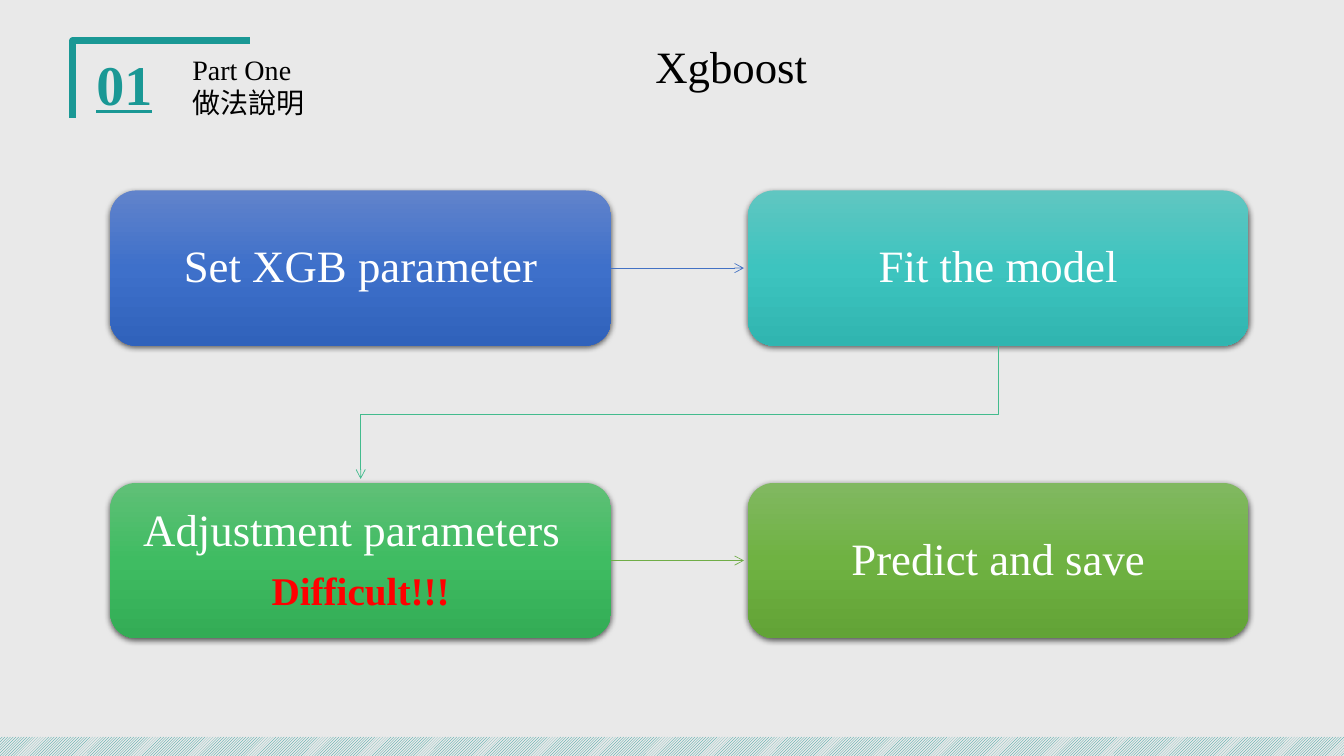
from copy import deepcopy
from lxml.etree import SubElement
from pptx import Presentation
from pptx.dml.color import RGBColor
from pptx.enum.dml import MSO_PATTERN
from pptx.enum.shapes import MSO_CONNECTOR, MSO_SHAPE
from pptx.enum.text import MSO_ANCHOR, MSO_AUTO_SIZE, PP_ALIGN
from pptx.oxml.ns import qn
from pptx.util import Cm, Pt

HEX = {
    "back": "E9E9E9", "teal": "1A9895", "black": "000000", "white": "FFFFFF",
    "red": "FF0000", "blue": "4472C4", "mint": "43BB8D", "green": "70AD47",
}
FONT = "Times New Roman"


def style(par, size, color, bold=False, under=False):
    """Format every run of a paragraph."""
    for run in par.runs:
        font = run.font
        font.name, font.size, font.bold = FONT, Pt(size), bold
        font.underline = under
        font.color.rgb = RGBColor.from_string(HEX[color])


def stroke(shape, color, width, arrow=False):
    """Colour a line, drop its shadow and add an arrowhead if asked."""
    shape.line.color.rgb = RGBColor.from_string(HEX[color])
    shape.line.width = Pt(width)
    props = shape._element.spPr
    if props.find(qn("a:effectLst")) is None:
        SubElement(props, qn("a:effectLst"))
    if arrow:
        SubElement(props.find(qn("a:ln")), qn("a:tailEnd"), type="arrow")


prs = Presentation()
prs.slide_width, prs.slide_height = Cm(33.87), Cm(19.05)
slide = prs.slides.add_slide(prs.slide_layouts[5])
slide.background.fill.solid()
slide.background.fill.fore_color.rgb = RGBColor.from_string(HEX["back"])
shapes = slide.shapes

# Corner frame and hatched footer
path = shapes.build_freeform(Cm(1.83), Cm(2.97))
path.add_line_segments([(Cm(1.83), Cm(1.02)), (Cm(6.3), Cm(1.02))], close=False)
frame = path.convert_to_shape()
frame.fill.background()
stroke(frame, "teal", 4.5)

band = shapes.add_shape(MSO_SHAPE.RECTANGLE, 0, Cm(18.57), Cm(33.87), Cm(0.48))
band.shadow.inherit = False
band.line.fill.background()
band.fill.patterned()
band.fill.pattern = MSO_PATTERN.LIGHT_UPWARD_DIAGONAL
band.fill.fore_color.rgb = RGBColor.from_string(HEX["teal"])
band.fill.back_color.rgb = RGBColor.from_string(HEX["back"])

# Heading
heads = [
    ("01", 2.18, 1.12, 2.41, 40, "teal", True),
    ("Part One\n做法說明", 4.6, 1.19, 6.3, 20, "black", False),
]
for text, left, top, width, size, color, strong in heads:
    box = shapes.add_textbox(Cm(left), Cm(top), Cm(width), Cm(1.96))
    box.text_frame.word_wrap = True
    box.text_frame.text = text
    for par in box.text_frame.paragraphs:
        style(par, size, color, strong, strong)

title = shapes.title
title.left, title.top, title.width, title.height = Cm(16.26), Cm(0.84), Cm(4.37), Cm(1.63)
frame = title.text_frame
frame.text = "Xgboost"
frame.word_wrap = False
frame.auto_size = MSO_AUTO_SIZE.NONE
frame.vertical_anchor = MSO_ANCHOR.TOP
frame.paragraphs[0].alignment = PP_ALIGN.LEFT
style(frame.paragraphs[0], 32, "black")

# Steps on a two by two grid
LEFT, TOP, WIDE, HIGH = 2.78, 4.8, 12.62, 3.91
STEP_X, STEP_Y, GAP = 16.07, 7.37, 0.1
steps = [
    ("Set XGB parameter", ["6183CB", "3E70CA", "3062BB"]),
    ("Fit the model", ["60C6C1", "3DC4BF", "30B5B0"]),
    ("Adjustment parameters\nDifficult!!!", ["60C077", "3FBC62", "33AC55"]),
    ("Predict and save", ["81B861", "6FB242", "62A336"]),
]
for num, (text, tones) in enumerate(steps):
    row, col = divmod(num, 2)
    card = shapes.add_shape(
        MSO_SHAPE.ROUNDED_RECTANGLE, Cm(LEFT + col * STEP_X),
        Cm(TOP + row * STEP_Y), Cm(WIDE), Cm(HIGH))
    card.line.fill.background()

    card.fill.gradient()
    card.fill.gradient_angle = 270
    stops = card._element.spPr.find(qn("a:gradFill")).find(qn("a:gsLst"))
    stops.insert(1, deepcopy(stops[0]))
    for stop, place, tone in zip(card.fill.gradient_stops, (0, 0.5, 1), tones):
        stop.position = place
        stop.color.rgb = RGBColor.from_string(tone)

    card.shadow.inherit = False
    glow = SubElement(
        card._element.spPr.find(qn("a:effectLst")), qn("a:outerShdw"),
        blurRad=str(Pt(4.5)), dist=str(Pt(1.5)), dir="5400000",
        algn="ctr", rotWithShape="0")
    shade = SubElement(glow, qn("a:srgbClr"), val=HEX["black"])
    SubElement(shade, qn("a:alpha"), val="63000")

    frame = card.text_frame
    frame.word_wrap = True
    frame.vertical_anchor = MSO_ANCHOR.MIDDLE
    frame.margin_left = frame.margin_right = Cm(0.64)
    frame.text = text
    for par in frame.paragraphs:
        par.alignment = PP_ALIGN.CENTER
        par.line_spacing = 0.9
        style(par, 32, "white")
    if len(frame.paragraphs) > 1:
        first, note = frame.paragraphs
        first.alignment = PP_ALIGN.LEFT
        first.space_after = Pt(11.2)
        style(note, 28, "red", bold=True)

# Arrows between the steps
for row, color in enumerate(["blue", "green"]):
    mid = Cm(TOP + row * STEP_Y + HIGH / 2)
    arrow = shapes.add_connector(
        MSO_CONNECTOR.STRAIGHT, Cm(LEFT + WIDE), mid, Cm(LEFT + STEP_X - GAP), mid)
    stroke(arrow, color, 0.5, arrow=True)

near, far = Cm(LEFT + WIDE / 2), Cm(LEFT + STEP_X + WIDE / 2)
turn = Cm(TOP + (HIGH + STEP_Y) / 2)
path = shapes.build_freeform(far, Cm(TOP + HIGH))
path.add_line_segments(
    [(far, turn), (near, turn), (near, Cm(TOP + STEP_Y - GAP))], close=False)
bend = path.convert_to_shape()
bend.fill.background()
stroke(bend, "mint", 0.5, arrow=True)

prs.save("out.pptx")
